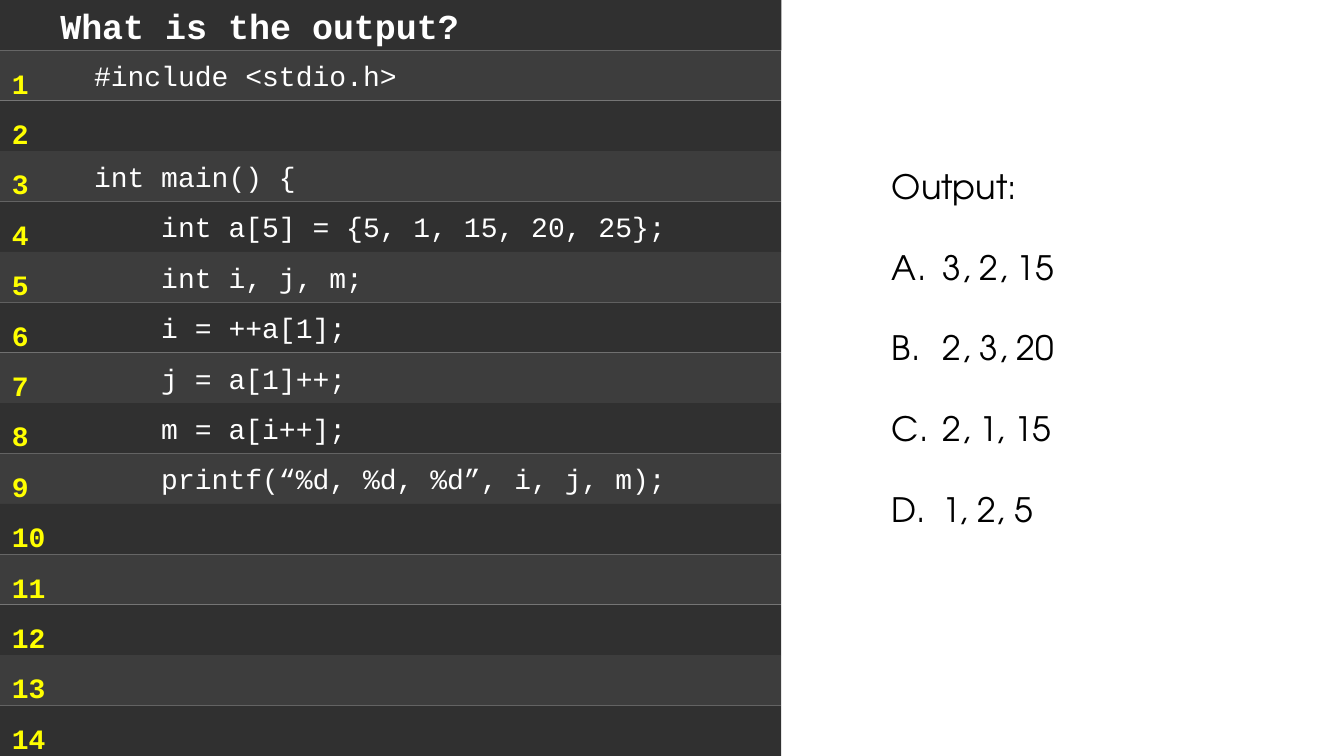
from dataclasses import dataclass

from lxml import etree
from pptx import Presentation
from pptx.dml.color import RGBColor
from pptx.enum.shapes import MSO_SHAPE
from pptx.enum.text import MSO_ANCHOR, MSO_AUTO_SIZE, PP_ALIGN
from pptx.oxml.ns import qn
from pptx.slide import Slide
from pptx.util import Cm, Pt

RECTANGLE = MSO_SHAPE.RECTANGLE
MIDDLE = MSO_ANCHOR.MIDDLE
NO_AUTOFIT = MSO_AUTO_SIZE.NONE
LEFT = PP_ALIGN.LEFT

DARK = RGBColor(0x30, 0x30, 0x30)
LIGHT = RGBColor(0x3D, 0x3D, 0x3D)
WHITE = RGBColor(0xFF, 0xFF, 0xFF)
YELLOW = RGBColor(0xFF, 0xFF, 0x00)
BLACK = RGBColor(0x00, 0x00, 0x00)

CODE_FONT = "Courier New"
ANSWER_FONT = "TeX Gyre Adventor"

ROW_HEIGHT = Cm(1.27)
PANEL_WIDTH = Cm(19.69)
ROW_COUNT = 14
CODE_LINES = [
    "#include <stdio.h>",
    "",
    "int main() {",
    "    int a[5] = {5, 1, 15, 20, 25};",
    "    int i, j, m;",
    "    i = ++a[1];",
    "    j = a[1]++;",
    "    m = a[i++];",
    "    printf(“%d, %d, %d”, i, j, m);",
]
ANSWERS = ["3, 2, 15", "2, 3, 20", "2, 1, 15", "1, 2, 5"]


@dataclass(frozen=True)
class TextStyle:
    font: str
    size: float
    color: RGBColor
    bold: bool = False


TITLE_STYLE = TextStyle(CODE_FONT, 25, WHITE, bold=True)
CODE_STYLE = TextStyle(CODE_FONT, 20, WHITE)
NUMBER_STYLE = TextStyle(CODE_FONT, 20, YELLOW, bold=True)
ANSWER_STYLE = TextStyle(ANSWER_FONT, 24, BLACK)


def style_paragraph(paragraph, style: TextStyle) -> None:
    paragraph.alignment = LEFT
    font = paragraph.font
    font.name = style.font
    font.size = Pt(style.size)
    font.bold = style.bold
    font.color.rgb = style.color


def fill_row(row, text: str, style: TextStyle, color: RGBColor, indent: Cm) -> None:
    """Colour one strip of the code panel and write its line."""
    row.fill.solid()
    row.fill.fore_color.rgb = color
    frame = row.text_frame
    frame.auto_size = NO_AUTOFIT
    frame.vertical_anchor = MIDDLE
    frame.margin_left = indent
    if text:
        frame.text = text
        style_paragraph(frame.paragraphs[0], style)


def add_title(slide: Slide) -> None:
    title = slide.shapes.title
    title.left, title.top = Cm(0), Cm(0)
    title.width, title.height = PANEL_WIDTH, ROW_HEIGHT
    fill_row(title, "What is the output?", TITLE_STYLE, DARK, Cm(1.52))


def add_code_rows(slide: Slide) -> None:
    for number in range(1, ROW_COUNT + 1):
        row = slide.shapes.add_shape(
            RECTANGLE, Cm(0), number * ROW_HEIGHT, PANEL_WIDTH, ROW_HEIGHT
        )
        row.shadow.inherit = False
        row.line.fill.background()
        code = CODE_LINES[number - 1] if number <= len(CODE_LINES) else ""
        fill_row(row, code, CODE_STYLE, LIGHT if number % 2 else DARK, Cm(2.37))


def add_line_numbers(slide: Slide) -> None:
    box = slide.shapes.add_textbox(Cm(0.05), Cm(1.12), Cm(1.42), Cm(18.11))
    frame = box.text_frame
    frame.word_wrap = True
    frame.text = "\n".join(str(number) for number in range(1, ROW_COUNT + 1))
    for paragraph in frame.paragraphs:
        paragraph.line_spacing = 1.5
        style_paragraph(paragraph, NUMBER_STYLE)


def letter_paragraph(paragraph) -> None:
    """Number the paragraph A., B., C. with a hanging indent."""
    properties = paragraph._p.get_or_add_pPr()
    properties.set("marL", str(Cm(1.27)))
    properties.set("indent", str(-Cm(1.27)))
    numbering = etree.SubElement(properties, qn("a:buAutoNum"))
    numbering.set("type", "alphaUcPeriod")


def add_answers(slide: Slide) -> None:
    box = slide.shapes.add_textbox(Cm(22.23), Cm(4.06), Cm(7.62), Cm(9.5))
    frame = box.text_frame
    frame.word_wrap = True
    frame.text = "\n".join(["Output:", *ANSWERS])
    heading, *choices = frame.paragraphs
    style_paragraph(heading, ANSWER_STYLE)
    for choice in choices:
        choice.space_before = Pt(28.8)
        letter_paragraph(choice)
        style_paragraph(choice, ANSWER_STYLE)


def main() -> None:
    presentation = Presentation()
    presentation.slide_width = Cm(33.87)
    presentation.slide_height = Cm(19.05)
    title_only = presentation.slide_layouts.get_by_name("Title Only")
    slide = presentation.slides.add_slide(title_only)
    add_title(slide)
    add_code_rows(slide)
    add_line_numbers(slide)
    add_answers(slide)
    presentation.save("out.pptx")


if __name__ == "__main__":
    main()
